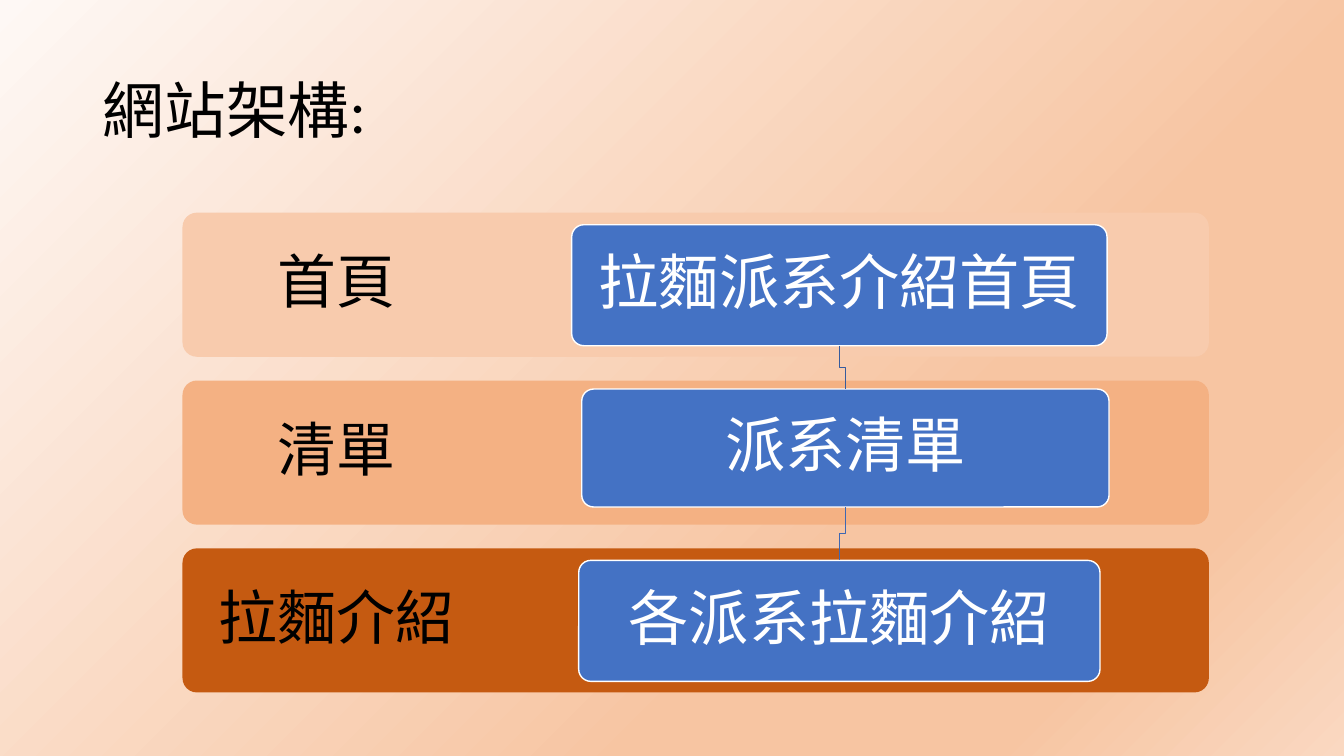
from lxml import etree
from pptx import Presentation
from pptx.dml.color import RGBColor
from pptx.enum.shapes import MSO_SHAPE
from pptx.enum.text import MSO_ANCHOR, PP_ALIGN
from pptx.oxml import parse_xml
from pptx.util import Inches, Pt

BLACK = RGBColor(0x00, 0x00, 0x00)
WHITE = RGBColor(0xFF, 0xFF, 0xFF)
BLUE = RGBColor(0x44, 0x72, 0xC4)
LINK_BLUES = [RGBColor(0x36, 0x5B, 0x9D), RGBColor(0x3E, 0x67, 0xB2)]
FONT = "Calibri"

TITLE = "網站架構:"
# level, band colour, page, page box (left, top, width, height)
LEVELS = [
    ("首頁", RGBColor(0xF8, 0xCB, 0xAD), "拉麵派系介紹首頁", (5.67, 2.23, 5.31, 1.2)),
    ("清單", RGBColor(0xF4, 0xB1, 0x83), "派系清單", (5.77, 3.86, 5.23, 1.17)),
    ("拉麵介紹", RGBColor(0xC5, 0x5A, 0x11), "各派系拉麵介紹", (5.74, 5.56, 5.17, 1.2)),
]
BACKGROUND_STOPS = [(0, "FEF8F5"), (66, "F7C5A2"), (83, "F7C5A2"), (100, "FAD8C1")]

BAND_LEFT, BAND_TOP, BAND_WIDTH, BAND_HEIGHT = 1.81, 2.11, 10.18, 1.43
BAND_STEP = 1.665
LEVEL_WIDTH = 3.05


def set_background(slide):
    """Fill the slide with a gradient that spreads from the top left corner."""
    stops = "".join(
        f'<a:gs pos="{place * 1000}"><a:srgbClr val="{colour}"/></a:gs>'
        for place, colour in BACKGROUND_STOPS
    )
    background = parse_xml(
        '<p:bg xmlns:p="http://schemas.openxmlformats.org/presentationml/2006/main"'
        ' xmlns:a="http://schemas.openxmlformats.org/drawingml/2006/main">'
        f'<p:bgPr><a:gradFill rotWithShape="1"><a:gsLst>{stops}</a:gsLst>'
        '<a:path path="circle"><a:fillToRect r="100000" b="100000"/></a:path>'
        "</a:gradFill><a:effectLst/></p:bgPr></p:bg>"
    )
    slide.element.cSld.insert(0, background)


def write(shape, text, size, colour, align, inset):
    frame = shape.text_frame
    frame.word_wrap = True
    frame.vertical_anchor = MSO_ANCHOR.MIDDLE
    frame.margin_left = frame.margin_right = Inches(inset)
    frame.margin_top = frame.margin_bottom = Inches(inset)
    frame.text = text
    paragraph = frame.paragraphs[0]
    paragraph.alignment = align
    paragraph.line_spacing = 0.9
    paragraph.font.name = FONT
    paragraph.font.size = Pt(size)
    paragraph.font.color.rgb = colour


def add_rounded(slide, box, fill):
    shape = slide.shapes.add_shape(MSO_SHAPE.ROUNDED_RECTANGLE, *map(Inches, box))
    shape.adjustments[0] = 0.1
    shape.shadow.inherit = False
    shape.fill.solid()
    shape.fill.fore_color.rgb = fill
    shape.line.fill.background()
    return shape


def add_link(slide, upper, lower, colour):
    """Draw a stepped line from the foot of one page box to the top of the next."""
    start_x, start_y = upper[0] + upper[2] / 2, upper[1] + upper[3]
    end_x, end_y = lower[0] + lower[2] / 2, lower[1]
    middle_y = (start_y + end_y) / 2
    builder = slide.shapes.build_freeform(
        Inches(start_x), Inches(start_y), scale=1.0
    )
    corners = [(start_x, middle_y), (end_x, middle_y), (end_x, end_y)]
    builder.add_line_segments(
        [(Inches(x), Inches(y)) for x, y in corners], close=False
    )
    link = builder.convert_to_shape()
    link.shadow.inherit = False
    link.fill.background()
    link.line.color.rgb = colour
    link.line.width = Pt(1)


def main():
    prs = Presentation()
    prs.slide_width, prs.slide_height = Inches(13.33), Inches(7.5)
    slide = prs.slides.add_slide(prs.slide_layouts[5])
    set_background(slide)

    title = slide.shapes.title
    title.left, title.top = Inches(0.92), Inches(0.4)
    title.width, title.height = Inches(11.5), Inches(1.45)
    write(title, TITLE, 44, BLACK, PP_ALIGN.LEFT, 0.1)

    for row, (level, colour, _, _) in enumerate(LEVELS):
        top = BAND_TOP + row * BAND_STEP
        add_rounded(slide, (BAND_LEFT, top, BAND_WIDTH, BAND_HEIGHT), colour)
        label = slide.shapes.add_textbox(
            *map(Inches, (BAND_LEFT, top, LEVEL_WIDTH, BAND_HEIGHT))
        )
        write(label, level, 42, BLACK, PP_ALIGN.CENTER, 0.33)

    for _, _, page, box in LEVELS:
        page_box = add_rounded(slide, box, BLUE)
        page_box.line.color.rgb = WHITE
        page_box.line.width = Pt(1)
        write(page_box, page, 43, WHITE, PP_ALIGN.CENTER, 0.2)

    boxes = [box for _, _, _, box in LEVELS]
    for upper, lower, colour in zip(boxes, boxes[1:], LINK_BLUES):
        add_link(slide, upper, lower, colour)

    prs.save("out.pptx")


if __name__ == "__main__":
    main()
